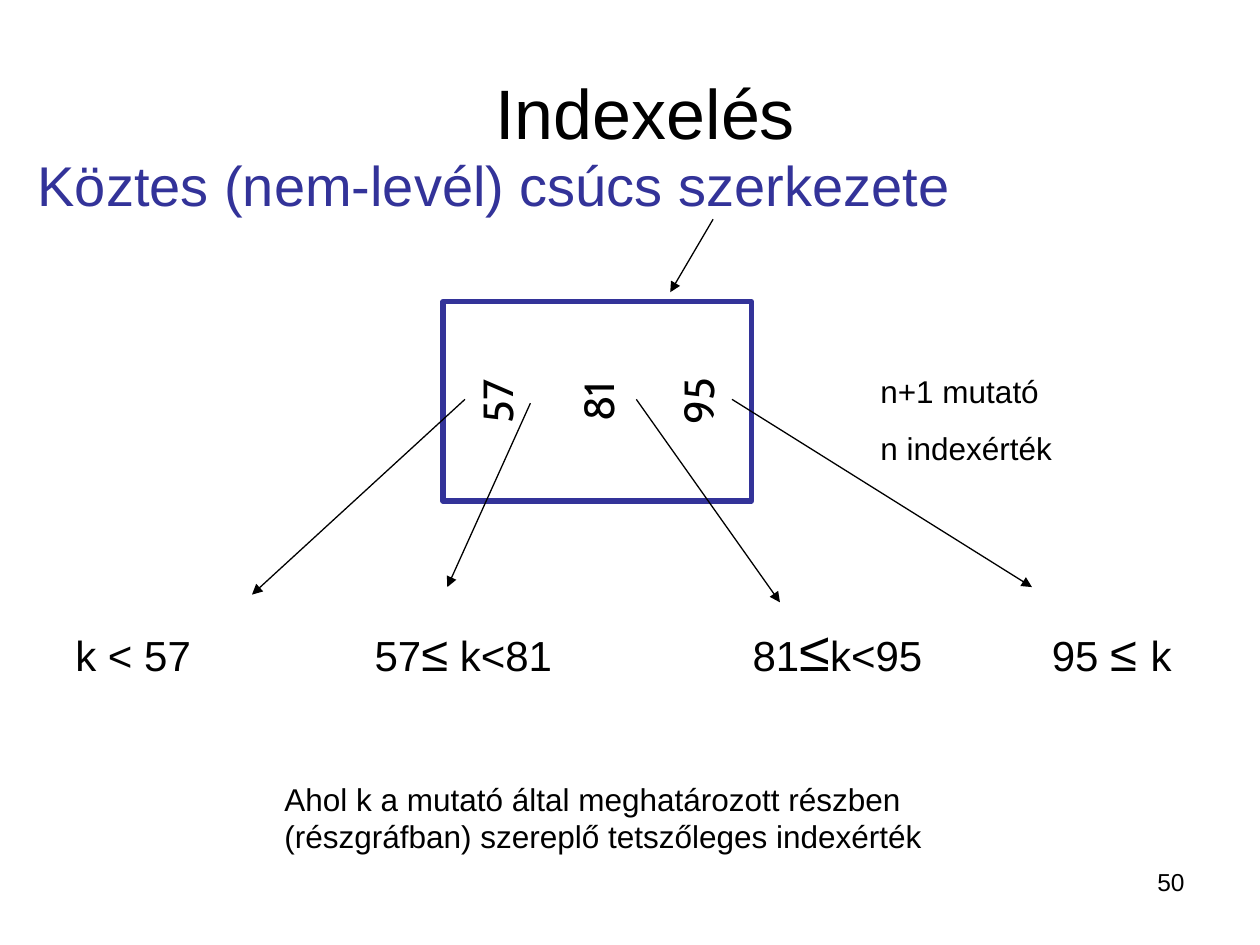
from lxml.etree import SubElement
from pptx import Presentation
from pptx.dml.color import RGBColor
from pptx.enum.shapes import MSO_CONNECTOR, MSO_SHAPE
from pptx.enum.text import MSO_ANCHOR as Anchor, PP_ALIGN as Align
from pptx.oxml.ns import qn
from pptx.util import Pt

BLACK = RGBColor(0x00, 0x00, 0x00)
WHITE = RGBColor(0xFF, 0xFF, 0xFF)
INDIGO = RGBColor(0x33, 0x33, 0x99)


def write_text(frame, paragraphs, size=18, font="Arial", color=BLACK,
               align=Align.LEFT, anchor=Anchor.TOP, gap=0, tabs=(), wrap=True):
    frame.word_wrap = wrap
    frame.vertical_anchor = anchor
    for index, runs in enumerate(paragraphs):
        paragraph = frame.paragraphs[0] if index == 0 else frame.add_paragraph()
        paragraph.alignment = align
        if index:
            paragraph.space_before = Pt(gap)
        if tabs:
            stops = SubElement(paragraph._p.get_or_add_pPr(), qn("a:tabLst"))
            for position in tabs:
                SubElement(stops, qn("a:tab"), pos=str(Pt(position)), algn="l")
        for run_text, run_size in [(runs, size)] if isinstance(runs, str) else runs:
            run = paragraph.add_run()
            run.text = run_text
            run.font.name = font
            run.font.size = Pt(run_size)
            run.font.color.rgb = color


class SlideBuilder:
    def __init__(self, slide):
        self.slide = slide
        self.ink = BLACK
        self.accent = INDIGO

    def text(self, left, top, width, height, *paragraphs, **style):
        shape = self.slide.shapes.add_textbox(Pt(left), Pt(top), Pt(width), Pt(height))
        write_text(shape.text_frame, paragraphs, **style)

    def node(self, left, top, width, height, *keys, **style):
        shape = self.slide.shapes.add_shape(
            MSO_SHAPE.RECTANGLE, Pt(left), Pt(top), Pt(width), Pt(height))
        shape.rotation = 270
        shape.shadow.inherit = False
        shape.fill.solid()
        shape.fill.fore_color.rgb = WHITE
        shape.line.color.rgb = self.accent
        shape.line.width = Pt(3)
        write_text(shape.text_frame, keys, **style)

    def arrow(self, start, end):
        connector = self.slide.shapes.add_connector(
            MSO_CONNECTOR.STRAIGHT, *(Pt(value) for value in (*start, *end)))
        connector.line.color.rgb = self.ink
        connector.line.width = Pt(0.75)
        SubElement(connector.line._get_or_add_ln(), qn("a:tailEnd"), type="triangle")
        SubElement(connector._element.spPr, qn("a:effectLst"))


def main():
    presentation = Presentation()
    presentation.slide_width = Pt(720)
    presentation.slide_height = Pt(540)
    builder = SlideBuilder(presentation.slides.add_slide(presentation.slide_layouts[6]))

    builder.text(14.4, 60.5, 647.3, 89.3, "Köztes (nem-levél) csúcs szerkezete",
                 size=32, color=INDIGO, anchor=Anchor.MIDDLE)
    ranges = [("k < 57\t57", 24), ("≤", 28), (" k<81\t81", 24), ("≤", 32),
              ("k<95\t95 ", 24), ("≤ ", 28), ("k", 24)]
    builder.text(36, 348, 648, 44, ranges, tabs=(171, 387, 558))
    builder.node(284.4, 141.1, 113.8, 176.4, "57", "81", "95", size=24, font="Cabin",
                 align=Align.CENTER, anchor=Anchor.MIDDLE, gap=28.8, wrap=False)

    arrows = [
        ((407.5, 125.3), (383, 167)),
        ((265.7, 228.2), (144, 339.8)),
        ((303.1, 230.4), (255.6, 335.5)),
        ((363.6, 228.2), (445.7, 344.2)),
        ((418.3, 228.2), (589.7, 335.5)),
    ]
    for start, end in arrows:
        builder.arrow(start, end)

    builder.text(269.3, 36, 198.7, 55.4, "Indexelés", size=40, align=Align.CENTER)
    builder.text(155.5, 442, 391, 50.4,
                 "Ahol k a mutató által meghatározott részben (részgráfban) "
                 "szereplő tetszőleges indexérték")
    builder.text(496, 209, 141.8, 61.9, "n+1 mutató", "n indexérték", gap=11.2)
    builder.text(516.2, 491.8, 167.8, 37.4, "50", size=14, align=Align.RIGHT)
    presentation.save("out.pptx")


if __name__ == "__main__":
    main()
